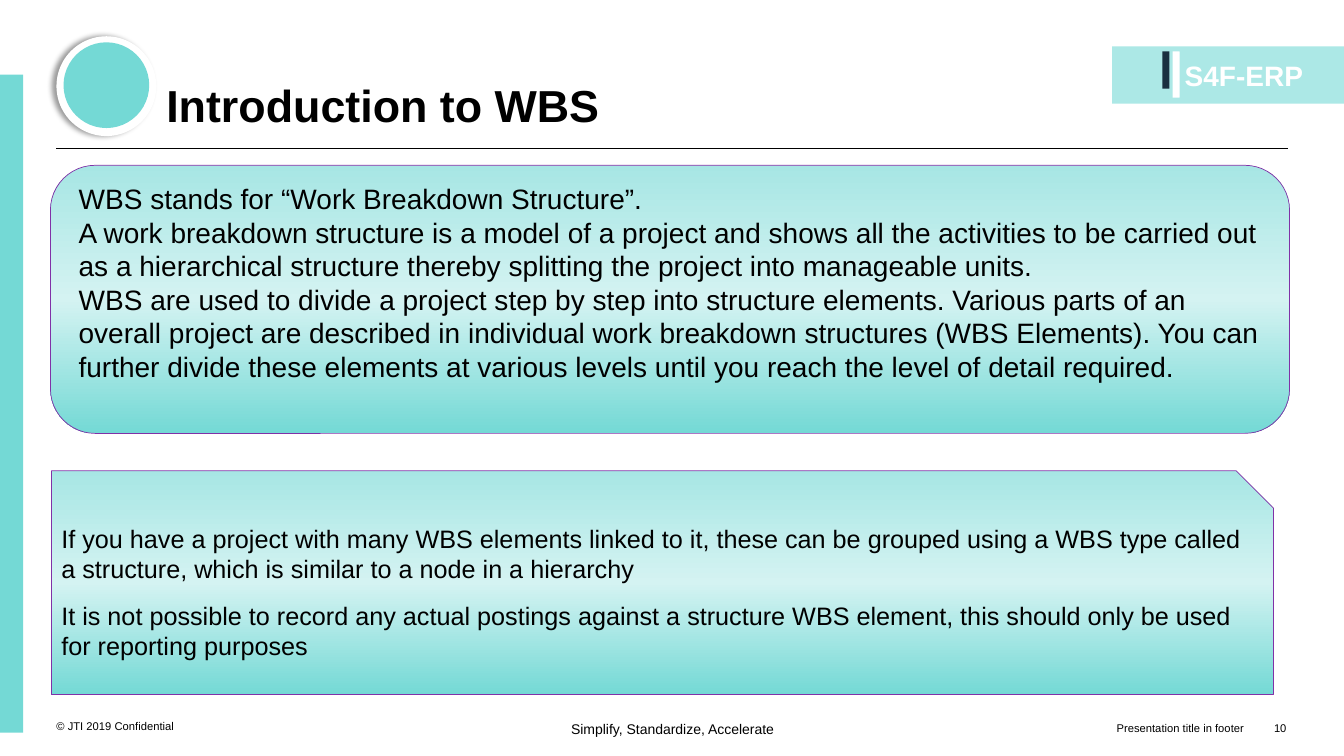
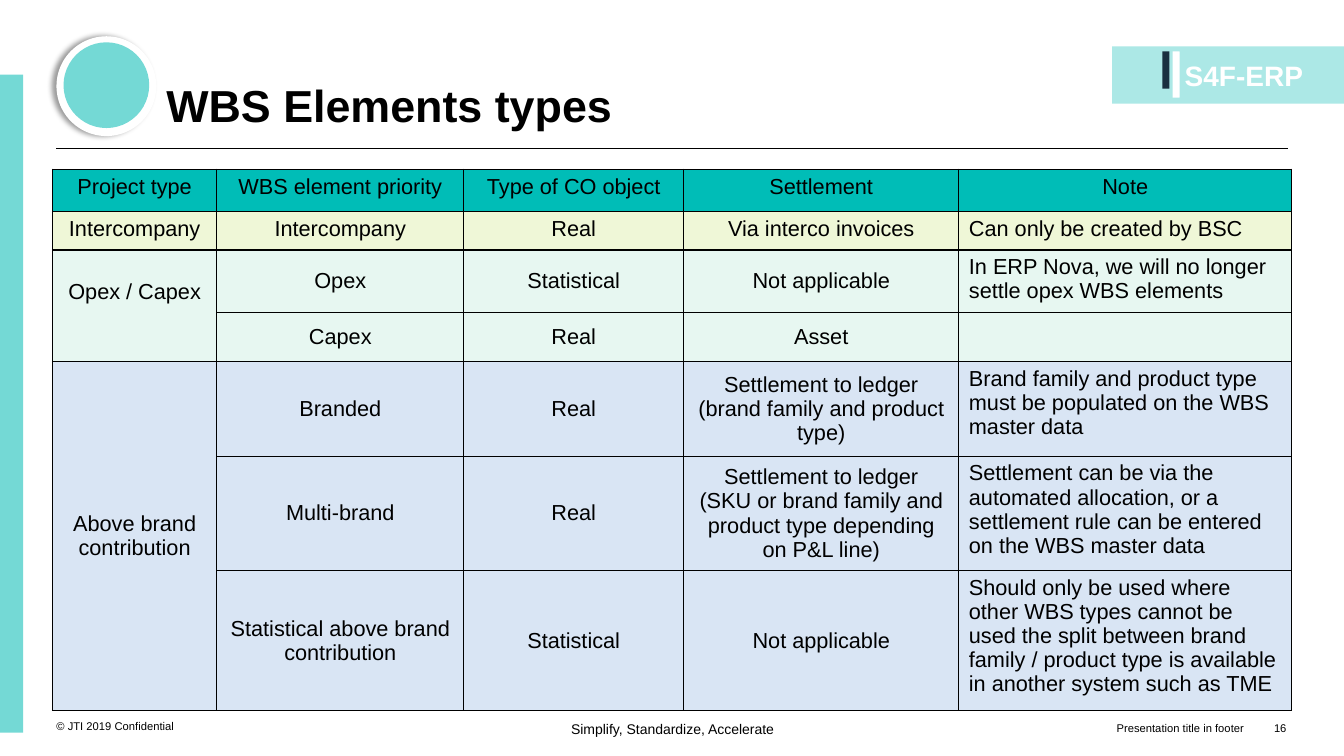
import copy

import pptx
import pptx.dml.color
import pptx.enum.shapes
import pptx.enum.text
import pptx.oxml
import pptx.oxml.ns
import pptx.util

RGBColor = pptx.dml.color.RGBColor
Shape = pptx.enum.shapes.MSO_SHAPE
Align = pptx.enum.text.PP_ALIGN
Anchor = pptx.enum.text.MSO_ANCHOR

BLACK = RGBColor(0x00, 0x00, 0x00)
WHITE = RGBColor(0xFF, 0xFF, 0xFF)
TEAL = RGBColor(0x74, 0xD9, 0xD5)
PALE_TEAL = RGBColor(0xAC, 0xE8, 0xE6)
NAVY = RGBColor(0x1A, 0x30, 0x40)
PURPLE = RGBColor(0x80, 0x31, 0xA7)
HEADER_TEAL = RGBColor(0x00, 0xBD, 0xB7)
YELLOW = RGBColor(0xEF, 0xF7, 0xD7)
MINT = RGBColor(0xE7, 0xF7, 0xF1)
BLUE = RGBColor(0xD9, 0xE5, 0xF4)
GRADIENT = [(0, RGBColor(0xA7, 0xE6, 0xE4)), (0.5, RGBColor(0xD4, 0xF3, 0xF2)), (1, TEAL)]

FONT = "Arial"
EMU_PER_PX = 9144  # 100 px to the inch
NAMESPACE = pptx.oxml.ns.nsdecls("a")


def px(*lengths):
    return [pptx.util.Emu(length * EMU_PER_PX) for length in lengths]


def write_text(frame, text, size=18, color=BLACK, bold=False, align=Align.LEFT,
               line_spacing=None, space_before=0):
    """Fill a text frame, one paragraph for each line of text."""
    for index, line in enumerate(text.split("\n")):
        para = frame.add_paragraph() if index else frame.paragraphs[0]
        para.alignment = align
        if line_spacing:
            para.line_spacing = line_spacing
        if index and space_before:
            para.space_before = pptx.util.Pt(space_before)
        if line:
            span = para.add_run()
            span.text = line
            span.font.name = FONT
            span.font.size = pptx.util.Pt(size)
            span.font.bold = bold
            span.font.color.rgb = color


class Slides:
    """The deck's style and the page being drawn."""

    def __init__(self):
        self.deck = pptx.Presentation()
        self.deck.slide_width, self.deck.slide_height = px(1333, 750)
        self.page = None

    def text(self, left, top, width, height, text, anchor=Anchor.TOP, **style):
        box = self.page.shapes.add_textbox(*px(left, top, width, height))
        frame = box.text_frame
        frame.word_wrap = True
        frame.vertical_anchor = anchor
        frame.margin_left = frame.margin_right = frame.margin_top = frame.margin_bottom = 0
        write_text(frame, text, **style)

    def shape(self, kind, left, top, width, height, fill=None):
        shape = self.page.shapes.add_shape(kind, *px(left, top, width, height))
        shape.shadow.inherit = False
        shape.line.fill.background()
        if fill is not None:
            shape.fill.solid()
            shape.fill.fore_color.rgb = fill
        return shape

    def panel(self, kind, left, top, width, height):
        """An outlined shape with the vertical three-colour gradient."""
        panel = self.shape(kind, left, top, width, height)
        panel.line.color.rgb = PURPLE
        panel.line.width = pptx.util.Pt(0.5)
        panel.fill.gradient()
        panel.fill.gradient_angle = 270
        stops = panel._element.spPr.find(".//" + pptx.oxml.ns.qn("a:gsLst"))
        stops.append(copy.deepcopy(stops[0]))
        for stop, (position, color) in zip(panel.fill.gradient_stops, GRADIENT):
            stop.position = position
            stop.color.rgb = color
        return panel

    def rule(self, left, right, y):
        line = self.page.shapes.add_connector(
            pptx.enum.shapes.MSO_CONNECTOR.STRAIGHT, *px(left, y, right, y))
        line.line.color.rgb = BLACK
        line.line.width = pptx.util.Pt(0.75)
        line._element.spPr.append(pptx.oxml.parse_xml(f"<a:effectLst {NAMESPACE}/>"))

    def badge(self):
        """The white ring with a soft shadow around a teal disc."""
        ring = self.shape(Shape.OVAL, 56, 36, 99, 99, WHITE)
        effects = ring._element.spPr.find(pptx.oxml.ns.qn("a:effectLst"))
        effects.append(pptx.oxml.parse_xml(
            f'<a:outerShdw {NAMESPACE} blurRad="50800" dist="38100" dir="10800000">'
            '<a:srgbClr val="000000"><a:alpha val="40000"/></a:srgbClr></a:outerShdw>'))
        self.shape(Shape.OVAL, 63, 42, 85, 85, TEAL)

    def start(self, title, number):
        """A new page with the shared bands, title and footers."""
        self.page = self.deck.slides.add_slide(self.deck.slide_layouts[6])
        self.rule(56, 1277, 147)
        # Project tag
        self.shape(Shape.RECTANGLE, 1103, 46, 230, 57, PALE_TEAL)
        self.shape(Shape.RECTANGLE, 1153, 51, 7, 37, NAVY)
        bar = self.shape(Shape.ROUNDED_RECTANGLE, 1163, 51, 7, 46, WHITE)
        bar.adjustments[0] = 0.07
        self.text(1175, 58, 125, 50, "S4F-ERP", size=20, color=WHITE, bold=True)
        # Side band, badge and title
        self.shape(Shape.RECTANGLE, 0, 74, 23, 653, TEAL)
        self.badge()
        self.text(165, 23, 974, 108, title, Anchor.BOTTOM, size=32, bold=True, line_spacing=0.9)
        # Footers
        self.text(56, 687, 197, 40, "© JTI 2019 Confidential", Anchor.BOTTOM, size=8)
        self.text(514, 715, 306, 30, "Simplify, Standardize, Accelerate",
                  size=10, align=Align.CENTER)
        self.text(774, 689, 460, 40, "Presentation title in footer", Anchor.BOTTOM,
                  size=8, align=Align.RIGHT)
        self.text(1233, 689, 43, 40, str(number), Anchor.BOTTOM, size=8, align=Align.RIGHT)

    def table(self, left, top, widths, heights, rows, fills, first_middle_row):
        frame = self.page.shapes.add_table(
            len(rows), len(widths), *px(left, top, sum(widths), sum(heights)))
        table = frame.table
        table.first_row = table.horz_banding = False
        for column, width in zip(table.columns, px(*widths)):
            column.width = width
        for row, height in zip(table.rows, px(*heights)):
            row.height = height
        for r, (values, fill) in enumerate(zip(rows, fills)):
            for c, value in enumerate(values):
                cell = table.cell(r, c)
                self.border(cell)
                cell.fill.solid()
                cell.fill.fore_color.rgb = fill
                note = c == len(values) - 1 and r > 0
                if r >= first_middle_row and not note:
                    cell.vertical_anchor = Anchor.MIDDLE
                write_text(cell.text_frame, value, size=15.5,
                           align=Align.LEFT if note else Align.CENTER)
        return table

    def border(self, cell):
        properties = cell._tc.get_or_add_tcPr()
        for side in "LRTB":
            properties.append(pptx.oxml.parse_xml(
                f'<a:ln{side} {NAMESPACE} w="12700"><a:solidFill>'
                f'<a:srgbClr val="{BLACK}"/></a:solidFill></a:ln{side}>'))


def introduction(slides):
    slides.start("Introduction to WBS", 10)
    slides.panel(Shape.ROUNDED_RECTANGLE, 50, 164, 1229, 266)
    slides.text(
        78, 180, 1185, 195,
        "WBS stands for “Work Breakdown Structure”.\n"
        "A work breakdown structure is a model of a project and shows all the activities to be "
        "carried out as a hierarchical structure thereby splitting the project into manageable "
        "units.\n"
        "WBS are used to divide a project step by step into structure elements. Various parts of "
        "an overall project are described in individual work breakdown structures (WBS Elements). "
        "You can further divide these elements at various levels until you reach the level of "
        "detail required.", size=20)
    grouping = slides.panel(Shape.SNIP_1_RECTANGLE, 51, 467, 1212, 222)
    grouping.text_frame.word_wrap = True
    grouping.text_frame.vertical_anchor = Anchor.MIDDLE
    write_text(
        grouping.text_frame,
        "If you have a project with many WBS elements linked to it, these can be grouped using a "
        "WBS type called a structure, which is similar to a node in a hierarchy\n"
        "It is not possible to record any actual postings against a structure WBS element, this "
        "should only be used for reporting purposes", size=18, space_before=11.5)


def element_types(slides):
    slides.start("WBS Elements types", 16)
    rows = [
        ["Project type", "WBS element priority", "Type of CO object", "Settlement", "Note"],
        ["Intercompany", "Intercompany", "Real", "Via interco invoices",
         "Can only be created by BSC"],
        ["Opex / Capex", "Opex", "Statistical", "Not applicable",
         "In ERP Nova, we will no longer settle opex WBS elements"],
        ["", "Capex", "Real", "Asset", ""],
        ["Above brand contribution", "Branded", "Real",
         "Settlement to ledger (brand family and product type)",
         "Brand family and product type must be populated on the WBS master data"],
        ["", "Multi-brand", "Real",
         "Settlement to ledger\n(SKU or brand family and product type depending on P&L line)",
         "Settlement can be via the automated allocation, or a settlement rule can be entered "
         "on the WBS master data"],
        ["", "Statistical above brand contribution", "Statistical", "Not applicable",
         "Should only be used where other WBS types cannot be used the split between brand "
         "family / product type is available in another system such as TME"],
    ]
    table = slides.table(
        52, 168, [163, 245, 218, 273, 330], [42, 38, 57, 49, 94, 106, 130], rows,
        [HEADER_TEAL, YELLOW] + [MINT] * 2 + [BLUE] * 3, first_middle_row=2)
    # Project types that cover several rows
    for first, last in [(2, 3), (4, 6)]:
        table.cell(first, 0).merge(table.cell(last, 0))
    opex_capex = table.cell(2, 0)
    opex_capex.vertical_anchor = Anchor.TOP
    opex_capex.margin_top = px(30)[0]


def main():
    slides = Slides()
    introduction(slides)
    element_types(slides)
    slides.deck.save("out.pptx")


if __name__ == "__main__":
    main()
